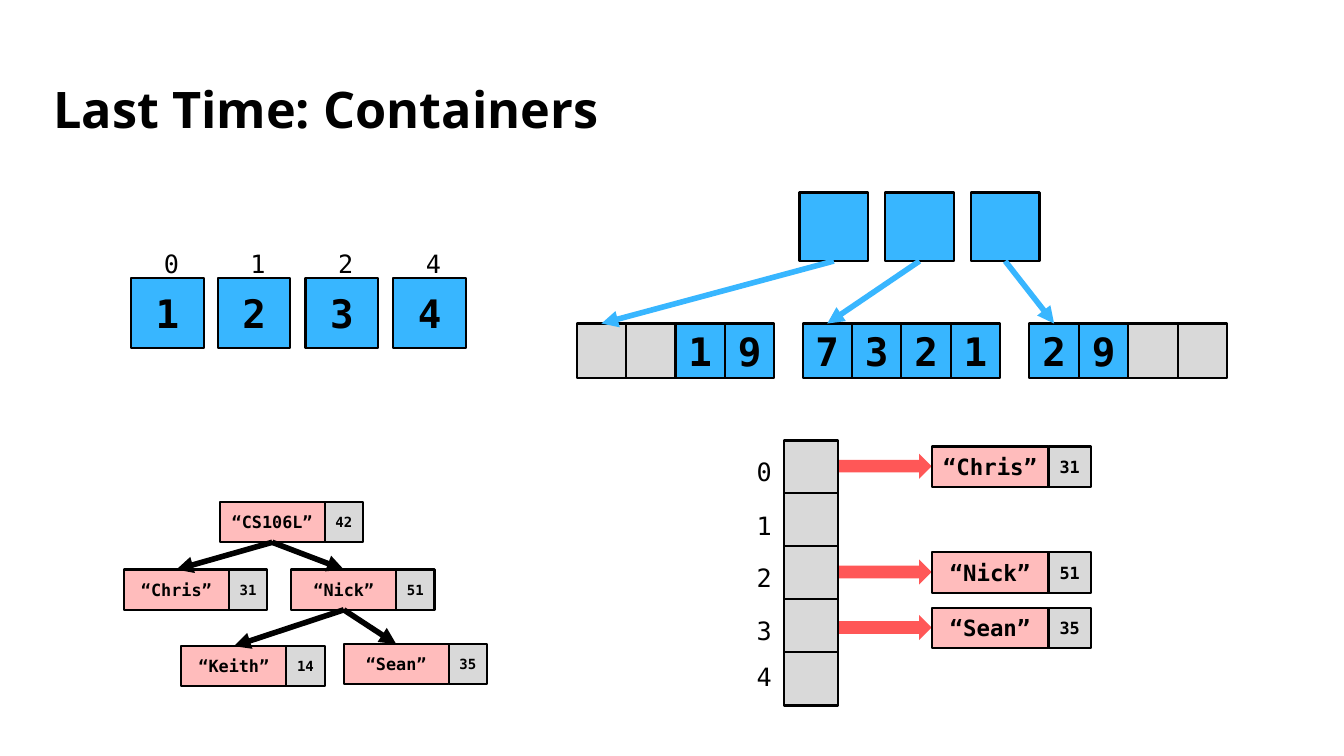
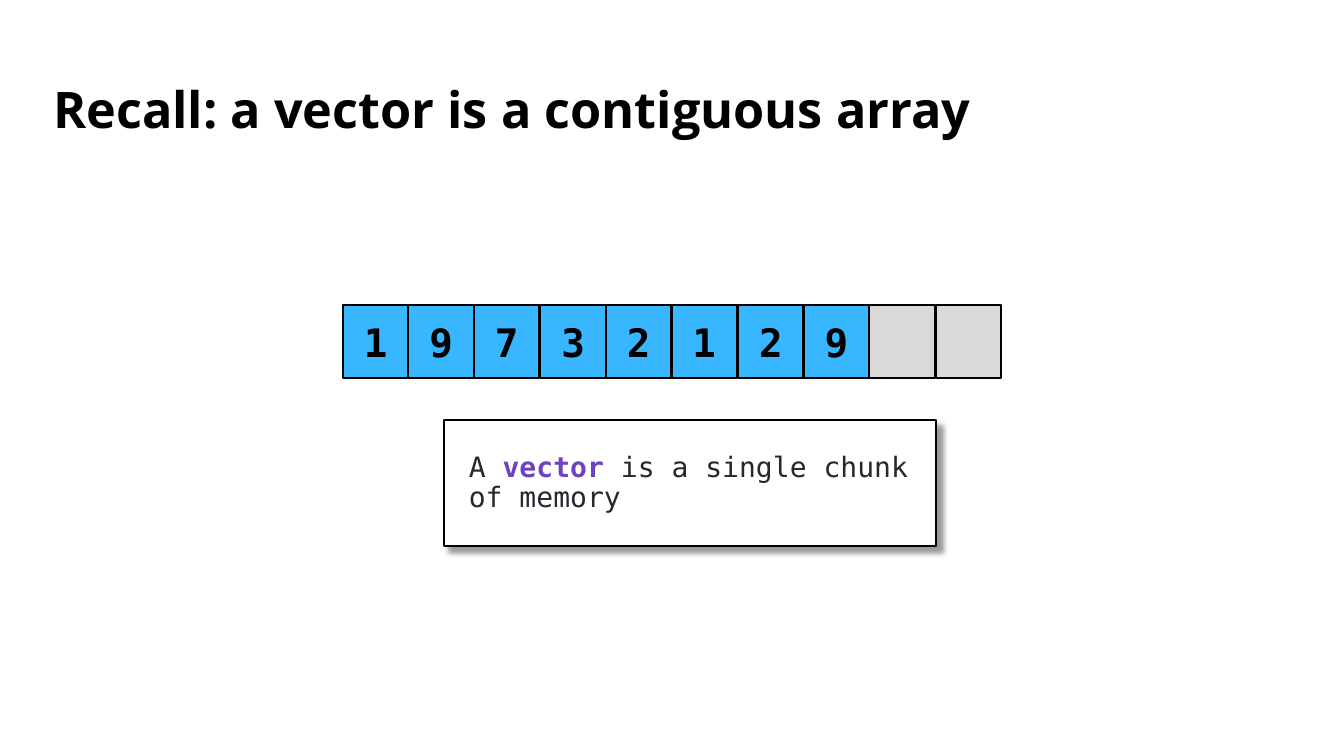
from dataclasses import dataclass
from typing import Optional, Sequence

from lxml import etree
from pptx import Presentation
from pptx.dml.color import RGBColor
from pptx.enum import shapes, text
from pptx.oxml import ns
from pptx.util import Emu, Pt

PX = 9144  # EMU per px, 100 px to the inch
COLORS = {
    "black": "000000", "white": "FFFFFF", "blue": "38B6FF", "gray": "D9D9D9",
    "pink": "FFBCBC", "red": "FF5757", "ink": "24292E", "purple": "6F42C1",
}
MONO, SANS = "DejaVu Sans Mono", "Open Sans"
RECT = shapes.MSO_SHAPE.RECTANGLE
CENTER = text.PP_ALIGN.CENTER
MIDDLE = text.MSO_ANCHOR.MIDDLE
TOP_SITE, BOTTOM_SITE = 0, 2


@dataclass(frozen=True)
class Box:
    x: int
    y: int
    w: int
    h: int

    def emu(self) -> list[Emu]:
        return [Emu(v * PX) for v in (self.x, self.y, self.w, self.h)]


@dataclass(frozen=True)
class Entry:
    key: str
    value: int
    x: int
    y: int
    parent: Optional[str] = None


@dataclass(frozen=True)
class EntryStyle:
    key_w: int
    value_w: int
    key_size: int
    value_size: int


# Shared drawing functions
def rgb(name: str) -> RGBColor:
    return RGBColor.from_string(COLORS[name])


def add_run(p, words: str, size: int, color: str = "black", bold: bool = False,
            font: str = MONO) -> None:
    r = p.add_run()
    r.text = words
    r.font.name, r.font.size, r.font.bold = font, Pt(size), bold
    r.font.color.rgb = rgb(color)


def set_insets(tf, inset: int) -> None:
    tf.margin_left = tf.margin_right = tf.margin_top = tf.margin_bottom = Emu(inset * PX)


def add_title(s, words: str) -> None:
    tf = s.shapes.add_textbox(*Box(43, 69, 1247, 84).emu()).text_frame
    tf.word_wrap, tf.vertical_anchor = True, MIDDLE
    p = tf.paragraphs[0]
    p.line_spacing = 0.9
    add_run(p, words, 36, bold=True, font=SANS)


def add_shape(s, box: Box, fill: str, outlined: bool = True, kind=RECT):
    sp = s.shapes.add_shape(kind, *box.emu())
    sp.shadow.inherit = False
    sp.fill.solid()
    sp.fill.fore_color.rgb = rgb(fill)
    if outlined:
        sp.line.color.rgb = rgb("black")
        sp.line.width = Pt(1.5)
    else:
        sp.line.fill.background()
    return sp


def add_cell(s, box: Box, fill: str, words: str = "", size: int = 28):
    sp = add_shape(s, box, fill)
    if words:
        tf = sp.text_frame
        set_insets(tf, 0)
        tf.vertical_anchor = MIDDLE
        p = tf.paragraphs[0]
        p.alignment = CENTER
        add_run(p, words, size, bold=True)
    return sp


def add_slot(s, box: Box, value: str):
    """A filled slot is blue; a blank one is gray."""
    value = value.strip()
    return add_cell(s, box, "blue" if value else "gray", value)


def add_index(s, x: int, y: int, index: int) -> None:
    tf = s.shapes.add_textbox(*Box(x, y, 20, 30).emu()).text_frame
    tf.word_wrap = True
    set_insets(tf, 0)
    p = tf.paragraphs[0]
    p.alignment = CENTER
    add_run(p, str(index), 18)


def add_arrow(s, source, target, color: str) -> None:
    line = s.shapes.add_connector(shapes.MSO_CONNECTOR.STRAIGHT, 0, 0, 0, 0)
    line.begin_connect(source, BOTTOM_SITE)
    line.end_connect(target, TOP_SITE)
    line.line.color.rgb = rgb(color)
    line.line.width = Pt(4)
    etree.SubElement(line.line._get_or_add_ln(), ns.qn("a:tailEnd"), type="triangle")
    etree.SubElement(line._element.spPr, ns.qn("a:effectLst"))


def add_entry(s, entry: Entry, style: EntryStyle):
    key = add_cell(s, Box(entry.x, entry.y, style.key_w, 40), "pink",
                   f"“{entry.key}”", style.key_size)
    add_cell(s, Box(entry.x + style.key_w, entry.y, style.value_w, 40), "gray",
             str(entry.value), style.value_size)
    return key


def add_drop_shadow(sp) -> None:
    effects = sp._element.spPr.find(ns.qn("a:effectLst"))
    shadow = etree.SubElement(
        effects, ns.qn("a:outerShdw"), blurRad=str(Pt(4)), dist=str(Pt(6)),
        dir=str(45 * 60000), algn="tl", rotWithShape="0")
    color = etree.SubElement(shadow, ns.qn("a:srgbClr"), val=COLORS["black"])
    etree.SubElement(color, ns.qn("a:alpha"), val="40000")


# Container diagrams
def draw_vector(s) -> None:
    for i, (index, value) in enumerate(zip((0, 1, 2, 4), "1234")):
        x = 130 + i * 260 // 3
        add_slot(s, Box(x, 276, 72, 69), value)
        add_index(s, x + 30, 246, index)


def draw_deque(s) -> None:
    chunks = ((572, "  19"), (796, "7321"), (1021, "29  "))
    for i, (x, values) in enumerate(chunks):
        pointer = add_cell(s, Box(793 + i * 85, 191, 68, 68), "blue")
        slots = [add_slot(s, Box(x + j * 49, 321, 49, 54), value)
                 for j, value in enumerate(values)]
        add_arrow(s, pointer, slots[0], "blue")


def draw_tree(s, entries: Sequence[Entry]) -> None:
    style = EntryStyle(104, 38, 12, 10)
    nodes = {entry.key: add_entry(s, entry, style) for entry in entries}
    for entry in entries:
        if entry.parent:
            add_arrow(s, nodes[entry.parent], nodes[entry.key], "black")


def draw_hash_table(s, entries: Sequence[Entry]) -> None:
    style = EntryStyle(116, 42, 16, 12)
    for entry in entries:
        add_shape(s, Box(805, entry.y + 7, 119, 25), "red", outlined=False,
                  kind=shapes.MSO_SHAPE.RIGHT_ARROW)
        add_entry(s, entry, style)
    for i, label_y in enumerate((453, 506, 558, 610, 656)):
        add_cell(s, Box(778, 437 + i * 105 // 2, 53, 53), "gray")
        add_index(s, 748, label_y, i)


# Slides
def build_containers(s) -> None:
    add_title(s, "Last Time: Containers")
    draw_vector(s)
    draw_deque(s)
    draw_tree(s, (
        Entry("CS106L", 42, 218, 498),
        Entry("Chris", 31, 123, 565, "CS106L"),
        Entry("Nick", 51, 289, 565, "CS106L"),
        Entry("Keith", 14, 180, 641, "Nick"),
        Entry("Sean", 35, 341, 639, "Nick"),
    ))
    draw_hash_table(s, (
        Entry("Chris", 31, 924, 443),
        Entry("Nick", 51, 924, 548),
        Entry("Sean", 35, 924, 603),
    ))


def build_contiguous_array(s) -> None:
    add_title(s, "Recall: a vector is a contiguous array")
    for i, value in enumerate("19732129  "):
        add_slot(s, Box(340 + i * 196 // 3, 303, 65, 72), value)

    # Explanation card
    card = add_shape(s, Box(440, 417, 488, 125), "white")
    add_drop_shadow(card)
    tf = card.text_frame
    tf.word_wrap, tf.vertical_anchor = True, MIDDLE
    set_insets(tf, 25)
    p = tf.paragraphs[0]
    p.alignment, p.line_spacing = text.PP_ALIGN.LEFT, 0.9
    add_run(p, "A ", 20, "ink")
    add_run(p, "vector", 20, "purple", bold=True)
    add_run(p, " is a single chunk of memory", 20, "ink")


def main() -> None:
    prs = Presentation()
    prs.slide_width, prs.slide_height = Emu(1333 * PX), Emu(750 * PX)
    for build in (build_containers, build_contiguous_array):
        build(prs.slides.add_slide(prs.slide_layouts[6]))
    prs.save("out.pptx")


if __name__ == "__main__":
    main()
